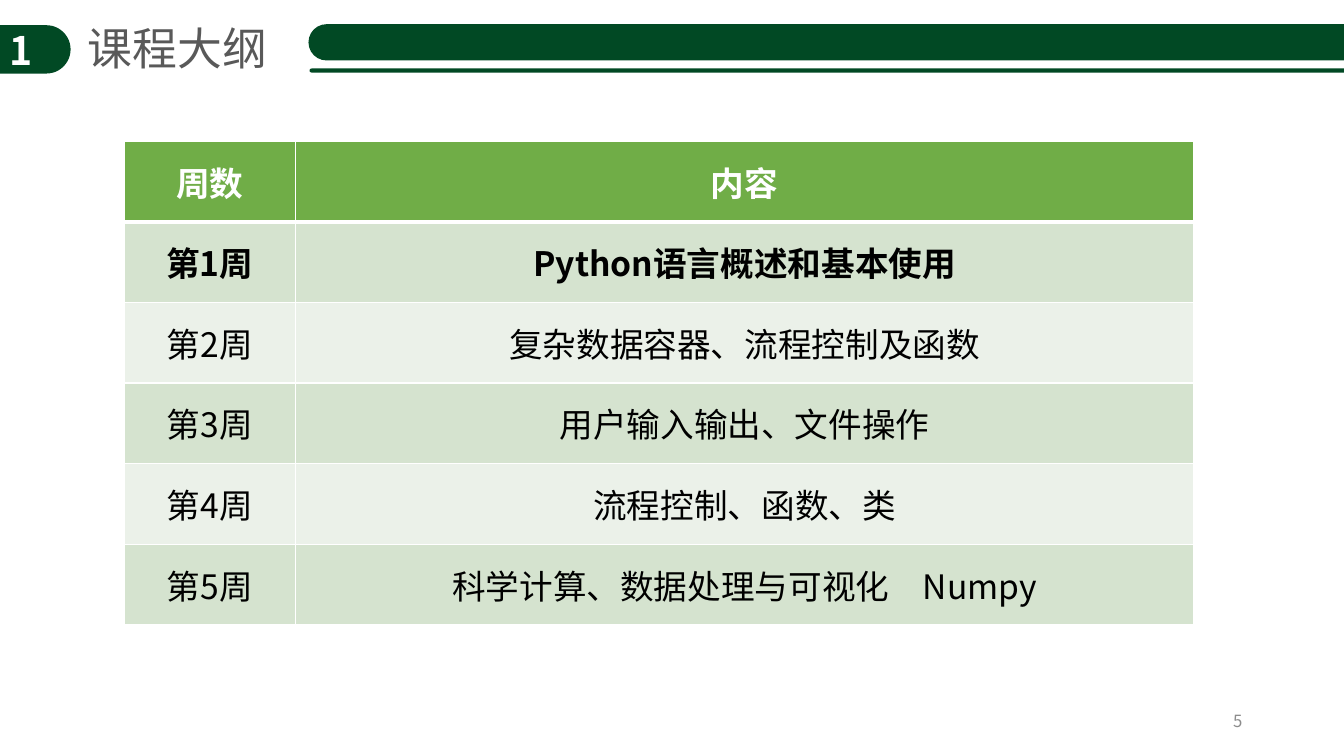
from lxml import etree
from pptx import Presentation
from pptx.dml.color import RGBColor
from pptx.enum import shapes, text
from pptx.oxml import ns
from pptx.util import Inches, Pt

FONT = "Noto Sans CJK SC"
COLORS = {
    "bar": "014924", "title": "595959", "number": "8C8C8C", "white": "FFFFFF",
    "black": "000000", "header": "70AD47", "odd": "D5E3CF", "even": "EBF1E9",
}

SECTION, TITLE, PAGE = "1", "课程大纲", "5"
SCHEDULE = [
    ("周数", "内容"),
    ("第1周", "Python语言概述和基本使用"),
    ("第2周", "复杂数据容器、流程控制及函数"),
    ("第3周", "用户输入输出、文件操作"),
    ("第4周", "流程控制、函数、类"),
    ("第5周", "科学计算、数据处理与可视化　Numpy"),
]
CURRENT_ROW = 1

# left, top, width, height in inches
SECTION_TAB = (-0.28, 0.25, 0.98, 0.48)
TITLE_BOX = (0.77, 0.16, 2, 0.64)
HEADER_BARS = [(3.06, 0.24, 10.8, 0.36), (3.07, 0.68, 10.8, 0.04)]
PAGE_BOX = (9.42, 6.95, 3, 0.4)
TABLE_LEFT, TABLE_TOP, ROW_HEIGHT = 1.23, 1.4, 0.8
COLUMN_WIDTHS = (1.7, 8.91)


def rgb(name):
    return RGBColor.from_string(COLORS[name])


def place(box):
    return [Inches(length) for length in box]


def write(frame, content, size, color, bold=False, align="CENTER", anchor="MIDDLE"):
    """Put one formatted paragraph in a text frame."""
    frame.vertical_anchor = getattr(text.MSO_ANCHOR, anchor)
    paragraph = frame.paragraphs[0]
    paragraph.alignment = getattr(text.PP_ALIGN, align)
    run = paragraph.add_run()
    run.text = content
    for name, value in {"size": Pt(size), "bold": bold, "name": FONT}.items():
        setattr(run.font, name, value)
    run.font.color.rgb = rgb(color)
    etree.SubElement(run.font._element, ns.qn("a:ea"), typeface=FONT)


def add_bar(slide, box):
    """Add a filled bar with fully rounded ends."""
    shape = slide.shapes.add_shape(shapes.MSO_SHAPE.ROUNDED_RECTANGLE, *place(box))
    shape.adjustments[0] = 0.5
    shape.shadow.inherit = False
    shape.fill.solid()
    shape.fill.fore_color.rgb = rgb("bar")
    shape.line.fill.background()
    return shape


def set_borders(cell, bottom_width):
    properties = cell._tc.get_or_add_tcPr()
    widths = {"lnL": 1, "lnR": 1, "lnT": 1, "lnB": bottom_width}
    for index, (side, width) in enumerate(widths.items()):
        line = etree.Element(ns.qn(f"a:{side}"), w=str(Pt(width)))
        fill = etree.SubElement(line, ns.qn("a:solidFill"))
        etree.SubElement(fill, ns.qn("a:srgbClr"), val=COLORS["white"])
        properties.insert(index, line)


def add_schedule(slide):
    box = (TABLE_LEFT, TABLE_TOP, sum(COLUMN_WIDTHS), ROW_HEIGHT * len(SCHEDULE))
    table = slide.shapes.add_table(len(SCHEDULE), len(COLUMN_WIDTHS), *place(box)).table
    for column, width in zip(table.columns, COLUMN_WIDTHS):
        column.width = Inches(width)
    for row, entries in enumerate(SCHEDULE):
        table.rows[row].height = Inches(ROW_HEIGHT)
        is_header = row == 0
        band = "header" if is_header else ("even", "odd")[row % 2]
        for column, entry in enumerate(entries):
            cell = table.cell(row, column)
            cell.fill.solid()
            cell.fill.fore_color.rgb = rgb(band)
            set_borders(cell, 3 if is_header else 1)
            write(cell.text_frame, entry, 24, "white" if is_header else "black",
                  bold=row <= CURRENT_ROW)
            cell.vertical_anchor = text.MSO_ANCHOR.MIDDLE


def main():
    presentation = Presentation()
    presentation.slide_width = Inches(13.33)
    presentation.slide_height = Inches(7.5)
    slide = presentation.slides.add_slide(presentation.slide_layouts[5])

    tab = add_bar(slide, SECTION_TAB)
    write(tab.text_frame, SECTION, 28, "white", bold=True)

    title = slide.shapes.title
    title.left, title.top, title.width, title.height = place(TITLE_BOX)
    title.text_frame.word_wrap = False
    title.text_frame.auto_size = text.MSO_AUTO_SIZE.SHAPE_TO_FIT_TEXT
    write(title.text_frame, TITLE, 32, "title", align="LEFT", anchor="TOP")

    for box in HEADER_BARS:
        add_bar(slide, box)

    page = slide.shapes.add_textbox(*place(PAGE_BOX))
    page.text_frame.word_wrap = True
    write(page.text_frame, PAGE, 12, "number", align="RIGHT")

    add_schedule(slide)
    presentation.save("out.pptx")


if __name__ == "__main__":
    main()
